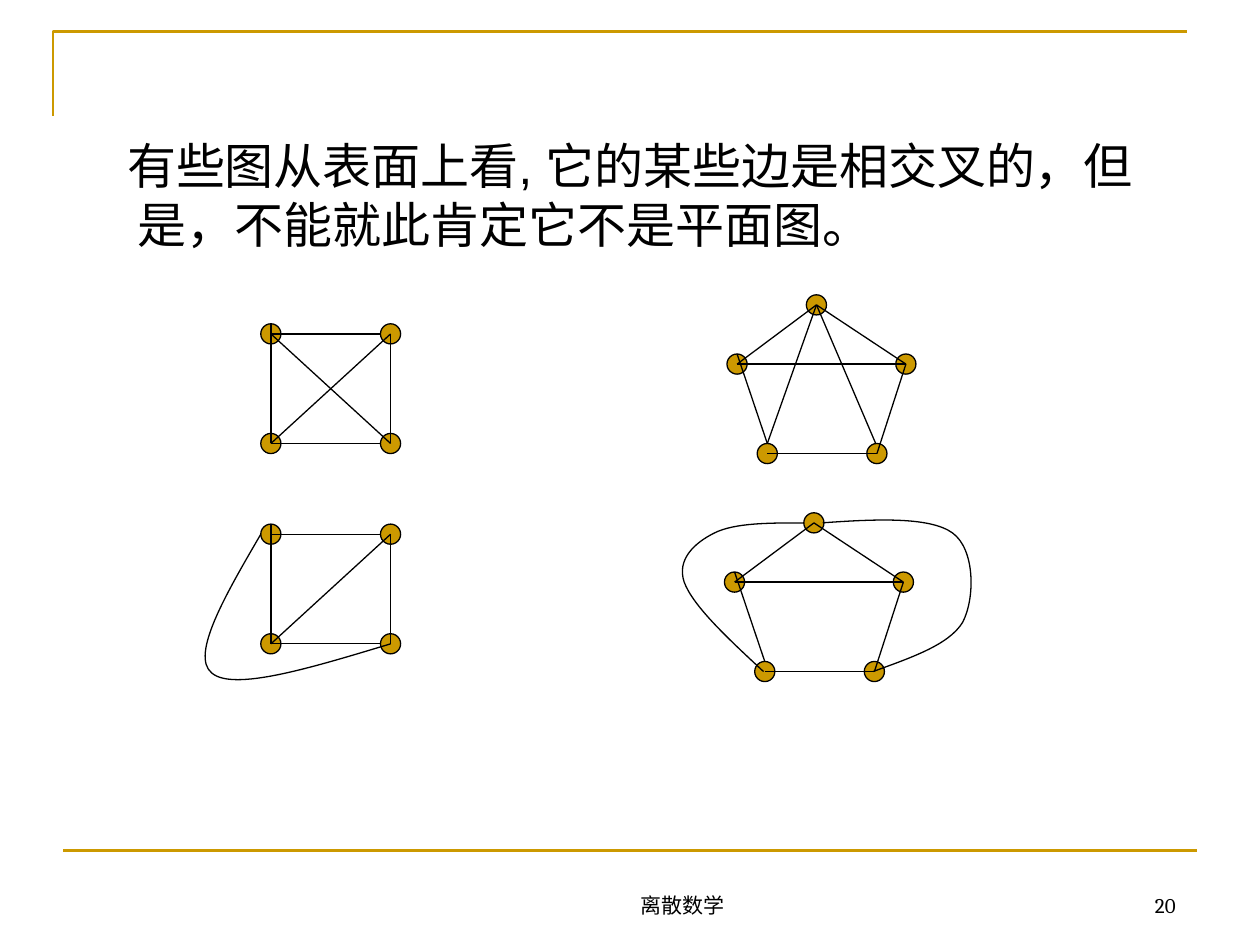
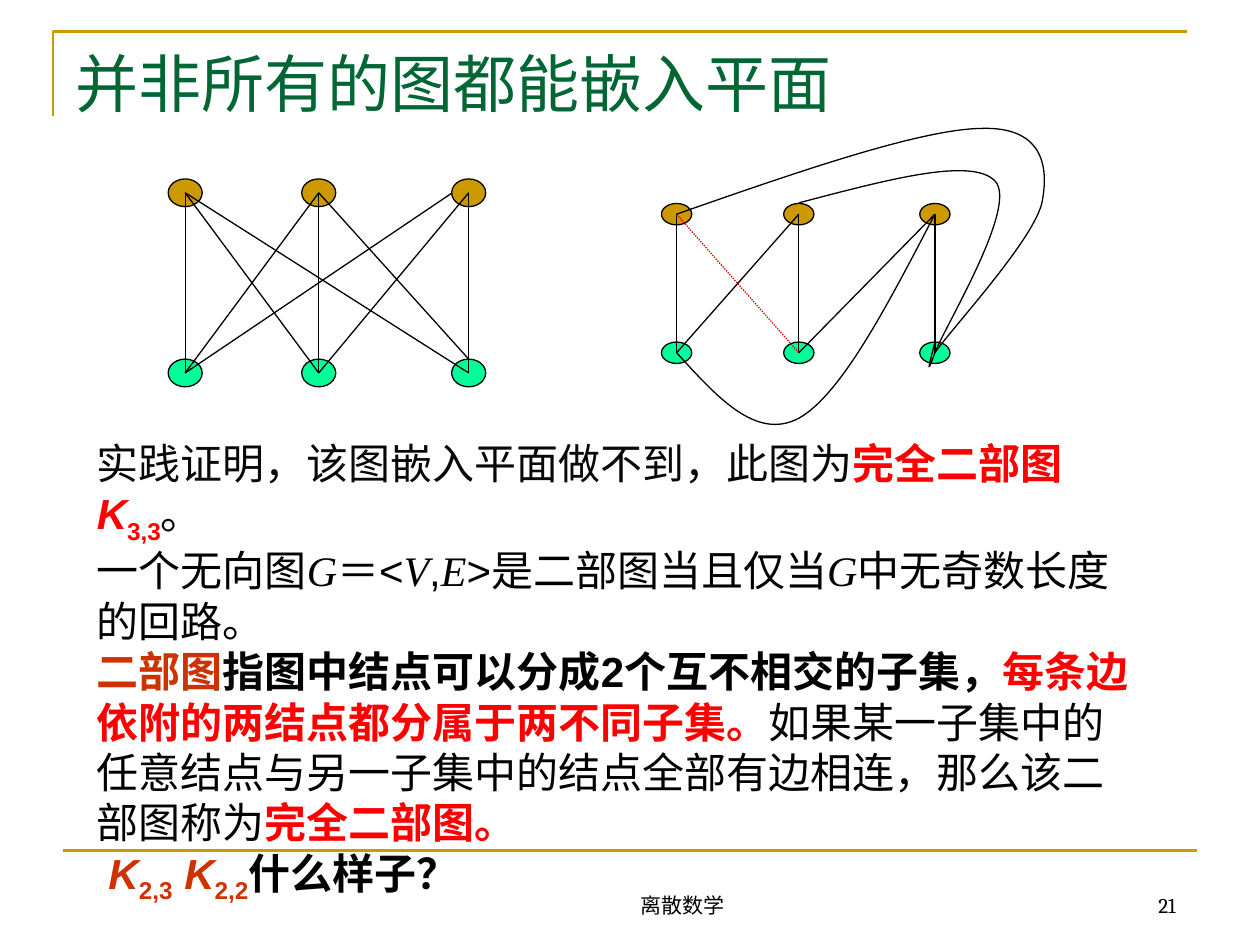
from lxml import etree
from pptx import Presentation
from pptx import util as u
from pptx.dml.color import RGBColor
from pptx.enum import dml, shapes, text
from pptx.oxml.ns import qn

PX = 9144  # EMU per px, 100 px to the inch
GOLD, GREEN, BLACK, INK = "CC9900", "00FF99", "000000", "080808"
RED, RUST, DOT_RED, TITLE_GREEN = "FF0000", "CC3300", "CC0000", "006633"
ARIAL, CAMBRIA, TIMES = "Arial", "Cambria", "Times New Roman"
NO_MARGIN_INDENT = (0, 0)


def px(value):
    return u.Emu(round(value * PX))


def rgb(hex_colour):
    return RGBColor.from_string(hex_colour)


# ---- Lines, curves and text ----
def style_line(line, colour=BLACK, width=0.75, dash=None):
    line.color.rgb = rgb(colour)
    line.width = u.Pt(width)
    if dash:
        line.dash_style = dash


def add_line(parent, start, end, **style):
    line = parent.add_connector(
        shapes.MSO_CONNECTOR.STRAIGHT, *(px(v) for v in (*start, *end)))
    style_line(line.line, **style)
    etree.SubElement(line._element.spPr, qn("a:effectLst"))


def add_outline(parent, points, **style):
    builder = parent.build_freeform(*points[0], scale=PX)
    builder.add_line_segments(points[1:], close=False)
    outline = builder.convert_to_shape()
    outline.fill.background()
    outline.shadow.inherit = False
    style_line(outline.line, **style)
    return outline


def add_curve(parent, points):
    """Start point, then two control points and an end point per arc."""
    geometry = add_outline(parent, points)._element.find(".//" + qn("a:path"))
    steps = geometry.findall(qn("a:lnTo"))
    for i in range(0, len(steps), 3):
        arc = etree.SubElement(geometry, qn("a:cubicBezTo"))
        for step in steps[i:i + 3]:
            arc.append(step[0])
            geometry.remove(step)


def add_text(slide, box, paragraphs, base, align=None, anchor=None,
             space_before=0, indent=NO_MARGIN_INDENT):
    """Each paragraph is a list of (wording, changes to the base format)."""
    frame = slide.shapes.add_textbox(*(px(v) for v in box)).text_frame
    frame.word_wrap = True
    frame.vertical_anchor = anchor
    for i, runs in enumerate(paragraphs):
        paragraph = frame.paragraphs[0] if i == 0 else frame.add_paragraph()
        paragraph.alignment = align
        if i == 0:
            paragraph.space_before = u.Pt(space_before)
        if indent != NO_MARGIN_INDENT:
            for name, value in zip(("marL", "indent"), indent):
                paragraph._p.get_or_add_pPr().set(name, str(px(value)))
        for wording, changes in runs:
            run = paragraph.add_run()
            run.text = wording
            style = {**base, **changes}
            run.font.color.rgb = rgb(style.pop("colour"))
            if style.pop("subscript", False):
                run.font._element.set("baseline", "-25000")
            for name, value in style.items():
                setattr(run.font, name, value)


# ---- Parts every slide shares ----
def add_frame(slide, number):
    rule = {"colour": GOLD, "width": 1.5}
    add_outline(slide.shapes, [(42, 92), (42, 25), (942, 25)], **rule)
    add_line(slide.shapes, (50, 675), (950, 675), **rule)
    small = {"name": CAMBRIA, "size": u.Pt(12), "colour": BLACK}
    for left, width, wording, align in (
            (383, 317, "离散数学", text.PP_ALIGN.CENTER),
            (833, 110, str(number), text.PP_ALIGN.RIGHT)):
        add_text(slide, (left, 683, width, 50), [[(wording, {})]], small,
                 align, text.MSO_ANCHOR.BOTTOM)


def add_title(slide, wording):
    add_text(slide, (50, 30, 900, 125), [[(wording, {})]],
             {"name": CAMBRIA, "size": u.Pt(36), "colour": TITLE_GREEN})


# ---- Graphs ----
def add_graph(slide, origin, nodes, edges, node_size=(16, 16), colours=None,
              curves=(), dotted=()):
    """An edge end is the index of a node or a point; all relative to origin."""
    group = slide.shapes.add_group_shape().shapes
    left, top = origin
    width, height = node_size

    def place(end):
        x, y = nodes[end] if isinstance(end, int) else end
        return left + x, top + y

    for i in range(len(nodes)):
        x, y = place(i)
        node = group.add_shape(
            shapes.MSO_SHAPE.OVAL, px(x - width / 2), px(y - height / 2),
            px(width), px(height))
        node.fill.solid()
        node.fill.fore_color.rgb = rgb(colours[i] if colours else GOLD)
        node.shadow.inherit = False
        style_line(node.line)
    for start, end in edges:
        add_line(group, place(start), place(end))
    for start, end in dotted:
        add_line(group, place(start), place(end), colour=DOT_RED,
                 dash=dml.MSO_LINE.ROUND_DOT)
    for points in curves:
        add_curve(group, [place(point) for point in points])


def add_square(slide, origin, extra_edges=(), curves=()):
    nodes = [(x, y) for y in (8, 95) for x in (8, 103)]
    sides = [(0, (95, 8)), (2, (95, 95)), ((8, 0), 2), (1, 3), (1, 2)]
    add_graph(slide, origin, nodes, [*sides, *extra_edges], curves=curves)


def add_pentagon(slide, origin, extra_edges=(), curves=()):
    nodes = [(71, 8), (8, 55), (142, 55), (32, 126), (119, 126)]
    sides = [(0, 1), (0, 2), ((8, 47), (32, 118)), (2, 4), (3, 4), (1, 2)]
    add_graph(slide, origin, nodes, [*sides, *extra_edges], curves=curves)


def add_bipartite(slide, origin, columns, rows, node_size, edges, **extras):
    add_graph(slide, origin, [(x, y) for y in rows for x in columns], edges,
              node_size, [GOLD] * 3 + [GREEN] * 3, **extras)


# ---- Slides ----
def build_crossing_slide(slide):
    add_frame(slide, 20)
    add_text(slide, (50, 103, 882, 107),
             [[("有些图从表面上看, 它的某些边是相交叉的，但是，不能就此肯定它不是平面图。", {})]],
             {"name": ARIAL, "size": u.Pt(28), "colour": BLACK},
             indent=(49, -8))

    # Drawn with crossing edges
    add_square(slide, (207, 257), [(0, 3)])
    add_pentagon(slide, (577, 234), [(0, (32, 118)), (0, (118, 118))])

    # Redrawn in the plane
    add_square(slide, (207, 416), curves=[
        [(0, 8), (-28, 56), (-56, 104), (-39, 118),
         (-22, 133), (40, 114), (103, 95)]])
    add_pentagon(slide, (575, 407), curves=[
        [(63, 8), (35, 8), (8, 8), (-8, 16), (-24, 24),
         (-38, 37), (-32, 55), (-25, 74), (3, 100), (31, 126)],
        [(78, 8), (120, 5), (163, 3), (181, 16), (199, 29),
         (199, 68), (189, 87), (178, 105), (148, 115), (118, 126)]])


def build_bipartite_slide(slide):
    add_frame(slide, 21)
    add_title(slide, "并非所有的图都能嵌入平面")

    # Complete bipartite graph, then the attempt to embed it
    add_bipartite(
        slide, (133, 142), (14, 120, 239), (11, 154), (27, 22),
        [(0, 5), (0, 3), (0, 4), (1, 3), ((226, 11), 3), (1, 4),
         (1, (239, 143)), (2, 4), (2, 5)])
    add_bipartite(
        slide, (525, 161), (12, 109, 217), (9, 119), (24, 17),
        [(0, 3), (1, 3), (1, 4), (2, 4), (2, 5)], dotted=[(0, 4)],
        curves=[
            [(109, 0), (178, -18), (247, -37), (265, -17), (283, 3),
             (225, 98), (217, 119), (209, 141), (213, 126), (217, 111)],
            [(12, 9), (109, -25), (205, -58), (253, -59), (302, -61),
             (308, -30), (302, 0), (295, 30), (231, 99), (217, 119)],
            [(217, 9), (180, 80), (143, 152), (109, 171),
             (75, 189), (44, 154), (12, 119)]])

    # Explanation
    ink = {"colour": INK}
    variable = {"name": TIMES, "italic": True}
    strong = {"bold": True}
    red = {"bold": True, "colour": RED}
    rust = {"bold": True, "colour": RUST}
    italic, subscript = {"italic": True}, {"subscript": True}
    add_text(slide, (67, 342, 850, 333), [
        [("实践证明，该图嵌入平面做不到，此图为", ink), ("完全二部图", red),
         ("K", red | italic), ("3,3", red | subscript), ("。", ink)],
        [("一个无向图", {}), ("G", variable), ("＝<", {}), ("V", variable),
         (",", {}), ("E", variable), (">是二部图当且仅当", {}),
         ("G", variable), ("中无奇数长度的回路。", {})],
        [("二部图", rust), ("指", strong | ink),
         ("图中结点可以分成2个互不相交的子集", strong), ("，", strong | ink),
         ("每条边依附的两结点都分属于两不同子集。", red),
         ("如果某一子集中的任意结点与另一子集中的结点全部有边相连，那么该二部图称为", {}),
         ("完全二部图。", red)],
        [(" K", rust | italic), ("2,3", rust | subscript),
         (" K", rust | italic), ("2,2", rust | subscript),
         ("什么样子？", strong)],
    ], {"name": ARIAL, "size": u.Pt(24), "colour": BLACK}, space_before=5)


def main():
    deck = Presentation()
    deck.slide_width, deck.slide_height = px(1000), px(750)
    for build in (build_crossing_slide, build_bipartite_slide):
        build(deck.slides.add_slide(deck.slide_layouts[6]))
    deck.save("out.pptx")


if __name__ == "__main__":
    main()
